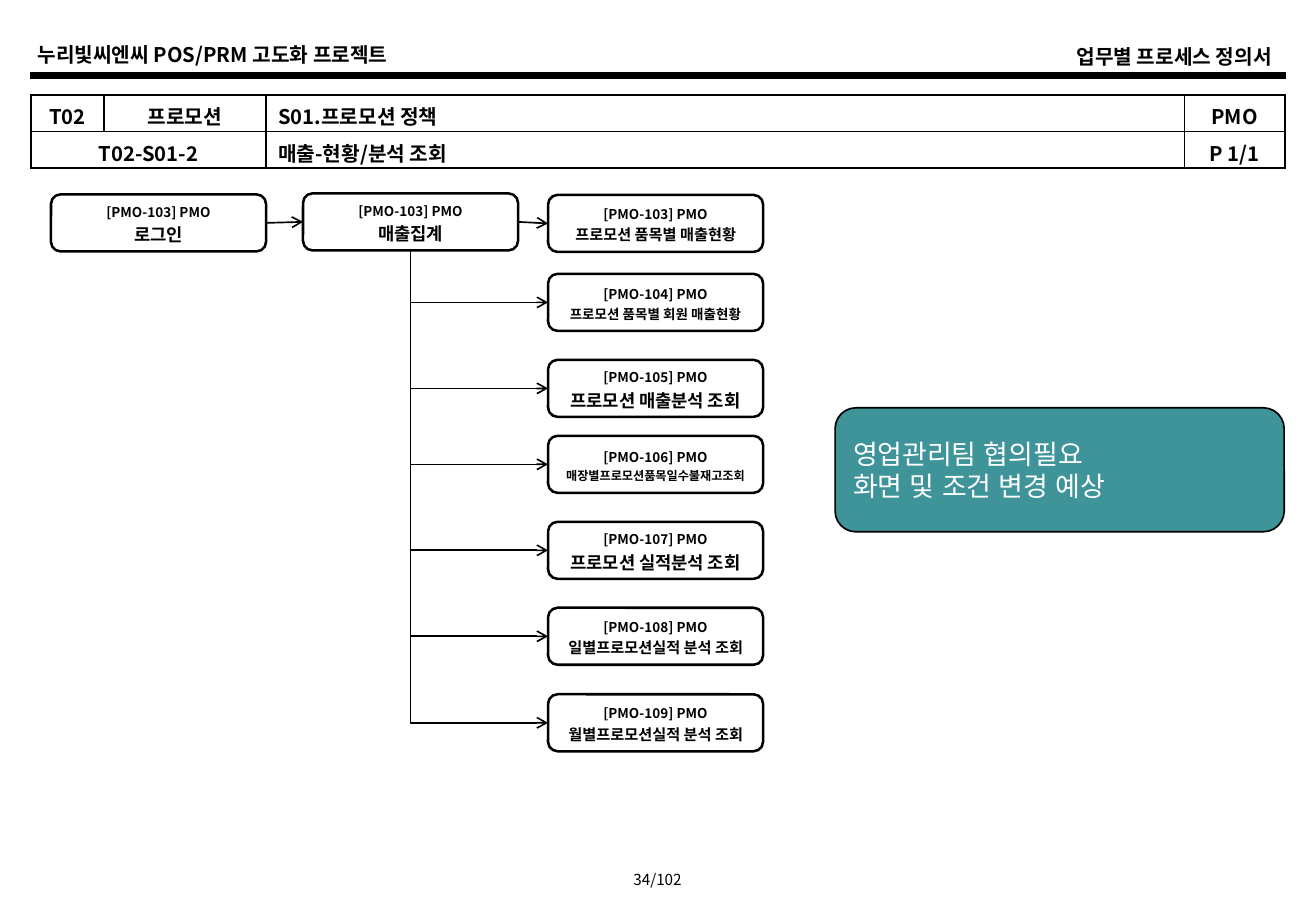
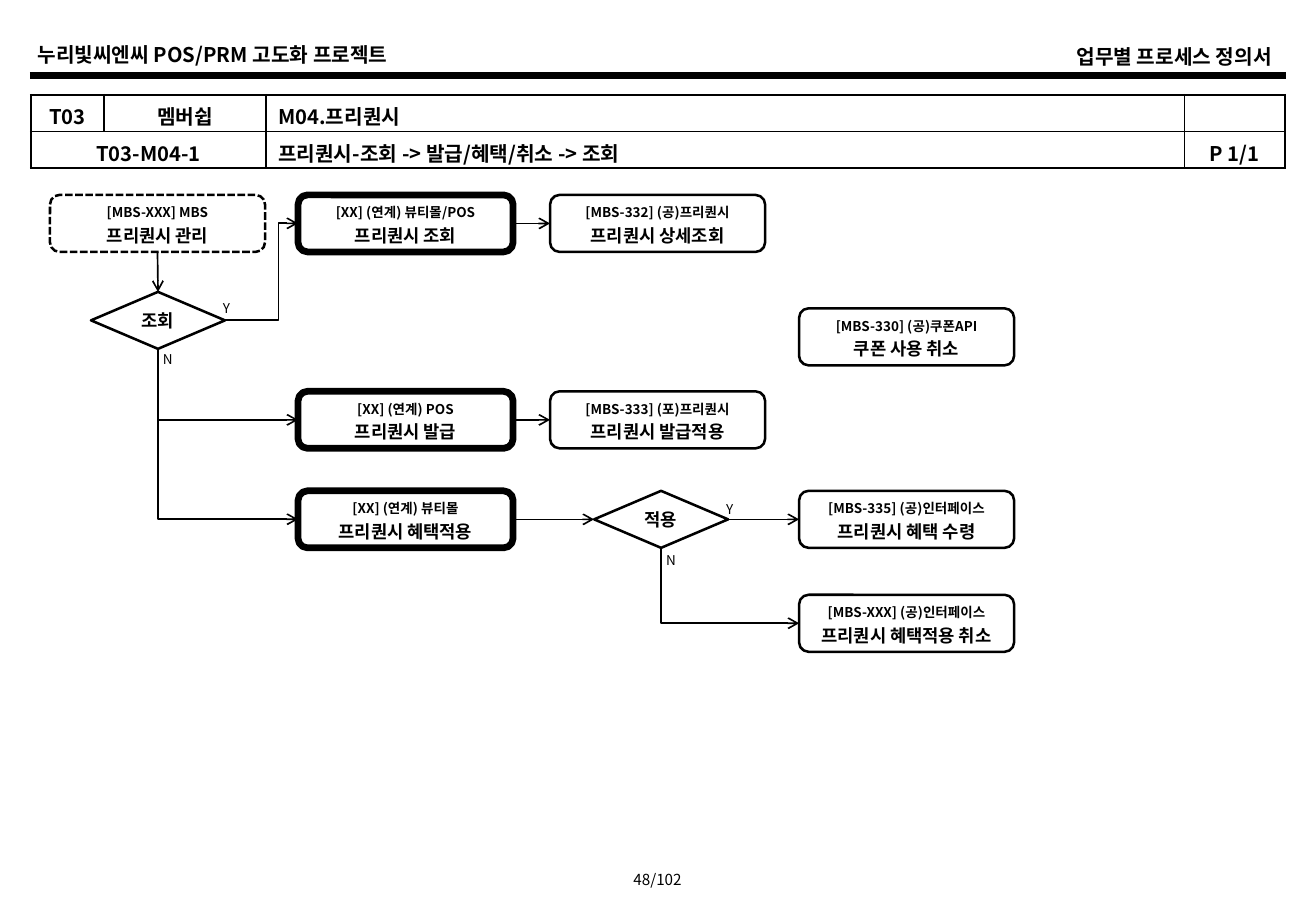
from lxml.etree import SubElement
from pptx import Presentation
from pptx.dml.color import RGBColor
from pptx.enum.dml import MSO_LINE_DASH_STYLE as DASH
from pptx.enum.shapes import MSO_CONNECTOR as LINK, MSO_SHAPE as SHAPE
from pptx.enum.text import MSO_ANCHOR as ANCHOR, PP_ALIGN as ALIGN
from pptx.oxml.ns import qn
from pptx.util import Emu, Inches, Pt

COLORS = {"ink": "000000", "paper": "FFFFFF", "note": "3F949A"}
FONT, NOTE_FONT = "Noto Sans CJK KR", "Arial"
PROJECT = "누리빛씨엔씨 POS/PRM 고도화 프로젝트 "
DOCUMENT = "업무별 프로세스 정의서"
COLUMNS = (73, 162, 918, 101)
ROW_H = 36.5
STEP_W, STEP_H = 215, 57
DECISION_W = 134
TOP, LEFT, BOTTOM, RIGHT = range(4)

SALES = {
    "page": "34/102",
    "header": [("T02", "프로모션", "S01.프로모션 정책", "PMO"),
               ("T02-S01-2", "", "매출-현황/분석 조회", "P 1/1")],
    "steps": {
        "login": (51, 194.5, "[PMO-103] PMO", "로그인", 10.5, "plain"),
        "total": (303, 193.5, "[PMO-103] PMO", "매출집계", 10.5, "plain"),
        "items": (548, 195, "[PMO-103] PMO", "프로모션 품목별 매출현황", 9, "plain"),
        "members": (548, 274, "[PMO-104] PMO", "프로모션 품목별 회원 매출현황", 8, "plain"),
        "analysis": (548, 360, "[PMO-105] PMO", "프로모션 매출분석 조회", 10.5, "plain"),
        "stock": (548, 436, "[PMO-106] PMO", "매장별프로모션품목일수불재고조회", 7.2, "plain"),
        "results": (548, 522, "[PMO-107] PMO", "프로모션 실적분석 조회", 10.5, "plain"),
        "daily": (548, 608, "[PMO-108] PMO", "일별프로모션실적 분석 조회", 9, "plain"),
        "monthly": (548, 694.5, "[PMO-109] PMO", "월별프로모션실적 분석 조회", 9, "plain"),
    },
    "decisions": {},
    "answers": [],
    "straight": [("login", RIGHT, "total", LEFT), ("total", RIGHT, "items", LEFT)],
    "corner": [("total", name) for name in
               ("members", "analysis", "stock", "results", "daily", "monthly")],
    "detour": [],
    "note": ("영업관리팀 협의필요", "화면 및 조건 변경 예상"),
}

FREQUENCY = {
    "page": "48/102",
    "header": [("T03", "멤버쉽", "M04.프리퀀시", ""),
               ("T03-M04-1", "", "프리퀀시-조회 -> 발급/혜택/취소 -> 조회", "P 1/1")],
    "steps": {
        "manage": (50, 195, "[MBS-XXX] MBS", "프리퀀시 관리", 10.5, "dashed"),
        "lookup": (298, 195, "[XX] (연계) 뷰티몰/POS", "프리퀀시 조회", 10.5, "heavy"),
        "detail": (550, 195, "[MBS-332] (공)프리퀀시", "프리퀀시 상세조회", 10.5, "plain"),
        "coupon": (799, 308.5, "[MBS-330] (공)쿠폰API", "쿠폰 사용 취소", 10.5, "plain"),
        "issue": (298, 391.5, "[XX] (연계) POS", "프리퀀시 발급", 10.5, "heavy"),
        "issued": (550, 391.5, "[MBS-333] (포)프리퀀시", "프리퀀시 발급적용", 10.5, "plain"),
        "benefit": (298, 491, "[XX] (연계) 뷰티몰", "프리퀀시 혜택적용", 10.5, "heavy"),
        "receive": (799, 491, "[MBS-335] (공)인터페이스", "프리퀀시 혜택 수령", 10.5, "plain"),
        "cancel": (799, 595, "[MBS-XXX] (공)인터페이스", "프리퀀시 혜택적용 취소", 10.5, "plain"),
    },
    "decisions": {"is_lookup": (91, 292, "조회"), "is_applied": (594, 491, "적용")},
    "answers": [("Y", 211, 294), ("N", 151, 345), ("Y", 714, 494.5), ("N", 654, 546)],
    "straight": [("manage", BOTTOM, "is_lookup", TOP), ("lookup", RIGHT, "detail", LEFT),
                 ("issue", RIGHT, "issued", LEFT), ("benefit", RIGHT, "is_applied", LEFT),
                 ("is_applied", RIGHT, "receive", LEFT)],
    "corner": [("is_lookup", "issue"), ("is_lookup", "benefit"), ("is_applied", "cancel")],
    "detour": [("is_lookup", RIGHT, "lookup", LEFT, 0.734)],
    "note": (),
}


def px(length):
    return Emu(round(length * 914400 / 121.5))


def area(*lengths):
    return [px(length) for length in lengths]


def rgb(name):
    return RGBColor.from_string(COLORS[name])


def write(paragraph, text, size, bold=False, align=ALIGN.LEFT, color="ink", face=FONT):
    paragraph.alignment = align
    run = paragraph.add_run()
    run.text = text
    run.font.size, run.font.bold = Pt(size), bold
    run.font.color.rgb = rgb(color)
    run.font.name = face
    SubElement(run._r.get_or_add_rPr(), qn("a:ea"), typeface=face)


def frame_of(shape, inset=None, wrap=True):
    frame = shape.text_frame
    frame.word_wrap, frame.vertical_anchor = wrap, ANCHOR.MIDDLE
    if inset is not None:
        frame.margin_left = frame.margin_right = px(inset)
        frame.margin_top = frame.margin_bottom = px(inset)
    return frame


def outlined(slide, kind, box, weight, fill=None):
    shape = slide.shapes.add_shape(kind, *area(*box))
    shape.shadow.inherit = False
    if fill:
        shape.fill.solid()
        shape.fill.fore_color.rgb = rgb(fill)
    else:
        shape.fill.background()
    shape.line.color.rgb = rgb("ink")
    shape.line.width = Pt(weight)
    return shape


def label(slide, text, box, size, wrap=True, **style):
    frame = frame_of(slide.shapes.add_textbox(*area(*box)), wrap=wrap)
    write(frame.paragraphs[0], text, size, **style)


def ruled(slide, kind, ends, weight):
    link = slide.shapes.add_connector(kind, *ends)
    link.line.color.rgb = rgb("ink")
    link.line.width = Pt(weight)
    SubElement(link._element.spPr, qn("a:effectLst"))
    return link


def arrow(slide, kind, start, start_site, end, end_site):
    link = ruled(slide, kind, (0, 0, 0, 0), 1)
    link.begin_connect(start, start_site)
    link.end_connect(end, end_site)
    SubElement(link.line._get_or_add_ln(), qn("a:tailEnd"), type="arrow")
    return link


def down_then_right(slide, start, end):
    link = arrow(slide, LINK.ELBOW, start, BOTTOM, end, LEFT)
    across, down = link.width, link.height
    link.left += (across - down) // 2
    link.top += (down - across) // 2
    link.width, link.height = down, across
    link._element.spPr.prstGeom.set("prst", "bentConnector2")
    turn = link._element.spPr.find(qn("a:xfrm"))
    turn.set("rot", "16200000")
    turn.set("flipH", "1")


def detour(slide, start, start_site, end, end_site, bend):
    link = arrow(slide, LINK.ELBOW, start, start_site, end, end_site)
    guides = link._element.spPr.prstGeom.get_or_add_avLst()
    SubElement(guides, qn("a:gd"), name="adj1", fmla=f"val {round(bend * 100000)}")


def border(cell, sides):
    for side, weight in sides.items():
        edge = SubElement(cell._tc.get_or_add_tcPr(), qn(f"a:ln{side}"), w=str(Pt(weight)))
        paint = SubElement(edge, qn("a:solidFill"))
        SubElement(paint, qn("a:srgbClr"), val=COLORS["ink"])


def header_table(slide, rows):
    table = slide.shapes.add_table(2, 4, *area(31, 95, sum(COLUMNS), 2 * ROW_H)).table
    table.first_row = table.horz_banding = False
    for column, width in zip(table.columns, COLUMNS):
        column.width = px(width)
    for r, row in enumerate(rows):
        table.rows[r].height = px(ROW_H)
        for c, text in enumerate(row):
            cell = table.cell(r, c)
            cell.margin_top, cell.margin_bottom = px(5), 0
            cell.vertical_anchor = ANCHOR.MIDDLE
            border(cell, {"L": 1.5 if c == 0 else 0.75, "R": 1.5 if c == 3 else 0.75,
                          "T": 1.5 if r == 0 else 0.75, "B": 1.5 if r == 1 else 0.75})
            cell.fill.background()
            paragraph = cell.text_frame.paragraphs[0]
            if text:
                write(paragraph, text, 12, True, ALIGN.LEFT if c == 2 else ALIGN.CENTER)
            SubElement(paragraph._p, qn("a:endParaRPr"), sz="1200")
    table.cell(1, 0).merge(table.cell(1, 1))


def furniture(slide, page):
    title = slide.shapes.title
    title.left, title.top, title.width, title.height = area(780, 38, 504, 36)
    write(frame_of(title).paragraphs[0], DOCUMENT, 12, True, ALIGN.RIGHT)
    label(slide, PROJECT, (25.5, 36.5, 504, 36), 12, bold=True)
    ruled(slide, LINK.STRAIGHT, area(30, 75.5, 1286, 75.5), 4.5)
    label(slide, page, (601, 865, 113, 30), 9, align=ALIGN.CENTER)


def step(slide, x, y, code, name, size, style):
    shape = outlined(slide, SHAPE.ROUNDED_RECTANGLE, (x, y, STEP_W, STEP_H),
                     4 if style == "heavy" else 1.5, "paper")
    if style == "dashed":
        shape.line.dash_style = DASH.SQUARE_DOT
    frame = frame_of(shape, 5)
    for paragraph, text, points in ((frame.paragraphs[0], code, 8),
                                    (frame.add_paragraph(), name, size)):
        paragraph.line_spacing = 1.2
        write(paragraph, text, points, True, ALIGN.CENTER)
    return shape


def decision(slide, x, y, question):
    shape = outlined(slide, SHAPE.FLOWCHART_DECISION, (x, y, DECISION_W, STEP_H), 1.5)
    write(frame_of(shape, 0).paragraphs[0], question, 10.5, True, ALIGN.CENTER)
    return shape


def remark(slide, lines):
    frame = frame_of(outlined(slide, SHAPE.ROUNDED_RECTANGLE, (835, 408, 449, 124), 1, "note"),
                     wrap=False)
    for i, text in enumerate(lines):
        paragraph = frame.add_paragraph() if i else frame.paragraphs[0]
        write(paragraph, text, 16, color="paper", face=NOTE_FONT)


deck = Presentation()
deck.slide_width, deck.slide_height = Inches(10.83), Inches(7.5)
for process in (SALES, FREQUENCY):
    slide = deck.slides.add_slide(deck.slide_layouts[5])
    furniture(slide, process["page"])
    header_table(slide, process["header"])
    nodes = {key: step(slide, *item) for key, item in process["steps"].items()}
    nodes.update({key: decision(slide, *item) for key, item in process["decisions"].items()})
    for start, start_site, end, end_site in process["straight"]:
        arrow(slide, LINK.STRAIGHT, nodes[start], start_site, nodes[end], end_site)
    for start, end in process["corner"]:
        down_then_right(slide, nodes[start], nodes[end])
    for start, start_site, end, end_site, bend in process["detour"]:
        detour(slide, nodes[start], start_site, nodes[end], end_site, bend)
    for answer, x, y in process["answers"]:
        label(slide, answer, (x, y, 34, 29), 8, wrap=False)
    if process["note"]:
        remark(slide, process["note"])
deck.save("out.pptx")
